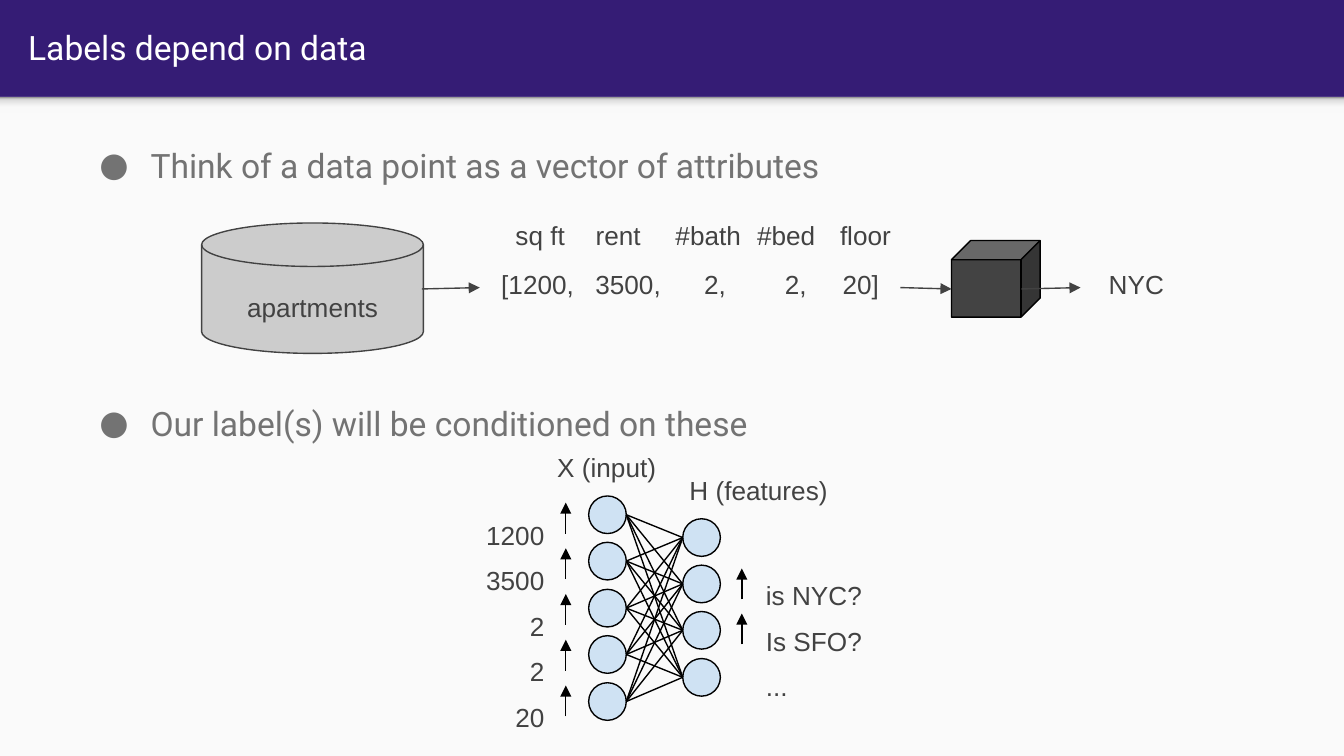
from dataclasses import dataclass

from lxml import etree
from pptx import Presentation
from pptx.dml.color import RGBColor
from pptx.enum.shapes import MSO_CONNECTOR, MSO_SHAPE
from pptx.enum.text import MSO_ANCHOR, MSO_AUTO_SIZE, PP_ALIGN
from pptx.oxml import parse_xml
from pptx.oxml.ns import nsdecls, qn
from pptx.util import Pt

LEFT, CENTER, RIGHT = PP_ALIGN.LEFT, PP_ALIGN.CENTER, PP_ALIGN.RIGHT
TOP, MIDDLE = MSO_ANCHOR.TOP, MSO_ANCHOR.MIDDLE
RECTANGLE, OVAL, CUBE = MSO_SHAPE.RECTANGLE, MSO_SHAPE.OVAL, MSO_SHAPE.CUBE
DISK = MSO_SHAPE.FLOWCHART_MAGNETIC_DISK
STRAIGHT, NO_AUTOFIT = MSO_CONNECTOR.STRAIGHT, MSO_AUTO_SIZE.NONE
TWO_CONTENT = 3
PX = 4572  # EMU, 200 px to the inch
INSET = 20


@dataclass(frozen=True)
class Theme:
    heading_font: str = "Roboto"
    label_font: str = "Arial"
    heading_size: int = 18
    label_size: int = 14
    line_width: float = 0.75
    header: str = "351C75"
    title: str = "FFFFFF"
    panel: str = "FAFAFA"
    bullet: str = "737373"
    label: str = "424242"
    disk: str = "CCCCCC"
    cube: str = "434343"
    node: str = "CFE2F3"
    black: str = "000000"
    shadow: tuple = ((0, "F9F9F9"), (36, "F9F9F9"), (80, "DEDEDE"), (100, "999999"))


THEME = Theme()


@dataclass(frozen=True)
class Box:
    left: int
    top: int
    width: int
    height: int

    def inner(self, left, top, width, height):
        return Box(self.left + left, self.top + top, width, height)

    def point(self, x, y):
        return self.left + x, self.top + y

    def emu(self):
        return [side * PX for side in (self.left, self.top, self.width, self.height)]


def rgb(color):
    return RGBColor.from_string(color)


def add_span(para, text, font, size, color):
    span = para.add_run()
    span.text = text
    span.font.name, span.font.size = font, Pt(size)
    span.font.color.rgb = rgb(color)


def prepare_frame(frame, anchor=TOP, left_inset=INSET):
    frame.word_wrap, frame.auto_size = True, NO_AUTOFIT
    frame.vertical_anchor = anchor
    frame.margin_left = left_inset * PX
    frame.margin_top = frame.margin_right = frame.margin_bottom = INSET * PX


def add_label(page, box, lines, align=CENTER, spacing=1.0, left_inset=INSET, tabs=()):
    frame = page.shapes.add_textbox(*box.emu()).text_frame
    prepare_frame(frame, left_inset=left_inset)
    for index, line in enumerate(lines):
        para = frame.add_paragraph() if index else frame.paragraphs[0]
        if tabs:
            tab_list = etree.SubElement(para._p.get_or_add_pPr(), qn("a:tabLst"))
            for stop in tabs:
                etree.SubElement(tab_list, qn("a:tab"), pos=str(stop * PX), algn="l")
        para.alignment, para.line_spacing = align, spacing
        add_span(para, line, THEME.label_font, THEME.label_size, THEME.label)


def add_figure(page, kind, box, fill, line=None):
    figure = page.shapes.add_shape(kind, *box.emu())
    figure.shadow.inherit = False
    figure.fill.solid()
    figure.fill.fore_color.rgb = rgb(fill)
    if line:
        figure.line.color.rgb = rgb(line)
        figure.line.width = Pt(THEME.line_width)
    else:
        figure.line.fill.background()
    return figure


def add_line(page, start, end, color, arrow=False):
    line = page.shapes.add_connector(STRAIGHT, *(side * PX for side in start + end))
    line.line.color.rgb = rgb(color)
    line.line.width = Pt(THEME.line_width)
    if arrow:
        etree.SubElement(line.line._get_or_add_ln(), qn("a:tailEnd"), type="triangle")
    etree.SubElement(line._element.spPr, qn("a:effectLst"))


def add_backdrop(page, box):
    """Light panel with a soft shadow along its top edge, behind all else."""
    page.background.fill.solid()
    page.background.fill.fore_color.rgb = rgb(THEME.header)
    panel = add_figure(page, RECTANGLE, box, THEME.panel)
    shadow = add_figure(page, RECTANGLE, box.inner(0, 0, box.width, 24), THEME.panel)
    stops = "".join(
        f'<a:gs pos="{at * 1000}"><a:srgbClr val="{color}"/></a:gs>'
        for at, color in THEME.shadow
    )
    gradient = parse_xml(
        f'<a:gradFill {nsdecls("a")}><a:gsLst>{stops}</a:gsLst>'
        '<a:lin ang="16200000" scaled="0"/></a:gradFill>'
    )
    properties = shadow._element.spPr
    properties.replace(properties.find(qn("a:solidFill")), gradient)
    for depth, figure in enumerate((panel, shadow), start=2):
        page.shapes._spTree.insert(depth, figure._element)


def place(holder, box):
    holder.left, holder.top, holder.width, holder.height = box.emu()


def fill_title(holder, box, text):
    place(holder, box)
    prepare_frame(holder.text_frame, MIDDLE)
    para = holder.text_frame.paragraphs[0]
    para.alignment = LEFT
    add_span(para, text, THEME.heading_font, THEME.heading_size, THEME.title)


def fill_bullet(holder, box, text):
    place(holder, box)
    prepare_frame(holder.text_frame)
    para = holder.text_frame.paragraphs[0]
    properties = para._p.get_or_add_pPr()
    properties.set("marL", str(100 * PX))
    properties.set("indent", str(-76 * PX))
    color = etree.SubElement(properties, qn("a:buClr"))
    etree.SubElement(color, qn("a:srgbClr"), val=THEME.bullet)
    etree.SubElement(properties, qn("a:buFont"), typeface=THEME.heading_font)
    etree.SubElement(properties, qn("a:buChar"), char="●")
    para.alignment, para.line_spacing, para.space_before = LEFT, 1.15, Pt(0)
    add_span(para, text, THEME.heading_font, THEME.heading_size, THEME.bullet)


def add_pipeline(page, box):
    """Apartment store, one attribute vector, the black box and its answer."""
    add_figure(page, DISK, box.inner(0, 26, 330, 194), THEME.disk, THEME.label)
    add_label(page, box.inner(48, 108, 238, 98), ["apartments"], LEFT)
    columns = {"sq ft": 410, "rent": 526, "#bath": 660, "#bed": 776, "floor": 894}
    for name, left in columns.items():
        add_label(page, box.inner(left, 0, 188, 98), [name])
    add_label(page, box.inner(414, 74, 626, 98), ["[1200,\t3500,\t2,\t2,\t20]"],
              LEFT, left_inset=32, tabs=(140, 302, 422, 508))
    add_figure(page, CUBE, box.inner(1116, 52, 132, 114), THEME.cube, THEME.black)
    add_label(page, box.inner(1308, 74, 166, 98), ["NYC"])
    for start, end in (((328, 124), (414, 122)), ((1040, 122), (1116, 124)),
                       ((1220, 124), (1308, 122))):
        add_line(page, box.point(*start), box.point(*end), THEME.label, arrow=True)


def add_layer(page, box, count):
    """Column of evenly spread nodes; returns their middle heights."""
    size = box.width
    tops = [row * (box.height - size) // (count - 1) for row in range(count)]
    for top in tops:
        add_figure(page, OVAL, box.inner(0, top, size, size), THEME.node, THEME.black)
    return [box.top + top + size // 2 for top in tops]


def add_up_arrows(page, box, count, pitch):
    for row in range(count):
        top = row * pitch
        add_line(page, box.point(0, top + 46), box.point(0, top), THEME.black, arrow=True)


def add_network(page, box):
    """Fully connected input and feature layers with their values."""
    inputs, features = box.inner(212, 86, 56, 334), box.inner(352, 120, 56, 264)
    input_rows = add_layer(page, inputs, 5)
    feature_rows = add_layer(page, features, 4)
    for feature_y in feature_rows:
        for input_y in input_rows:
            add_line(page, (features.left, feature_y),
                     (inputs.left + inputs.width, input_y), THEME.black)
    add_label(page, box.inner(308, 34, 314, 98), ["H (features)"])
    add_label(page, box.inner(82, 0, 314, 98), ["X (input)"])
    add_up_arrows(page, box.inner(178, 96, 0, 318), 5, 68)
    add_label(page, box.inner(0, 80, 166, 338), ["1200", "3500", "2", "2", "20"], RIGHT, 1.45)
    add_up_arrows(page, box.inner(440, 194, 0, 113), 2, 67)
    add_label(page, box.inner(456, 170, 196, 242), ["is NYC?", "Is SFO?", "..."], LEFT, 1.45)


def main():
    deck = Presentation()
    deck.slide_width, deck.slide_height = 2000 * PX, 1125 * PX
    page = deck.slides.add_slide(deck.slide_layouts[TWO_CONTENT])
    title, attributes, labels = page.placeholders
    add_backdrop(page, Box(0, 144, 2000, 981))
    fill_title(title, Box(22, 4, 1930, 132), "Labels depend on data")
    fill_bullet(attributes, Box(104, 186, 1798, 114),
                "Think of a data point as a vector of attributes")
    fill_bullet(labels, Box(104, 570, 1798, 114), "Our label(s) will be conditioned on these")
    add_network(page, Box(664, 652, 652, 424))
    add_pipeline(page, Box(300, 306, 1474, 220))
    deck.save("out.pptx")


if __name__ == "__main__":
    main()
